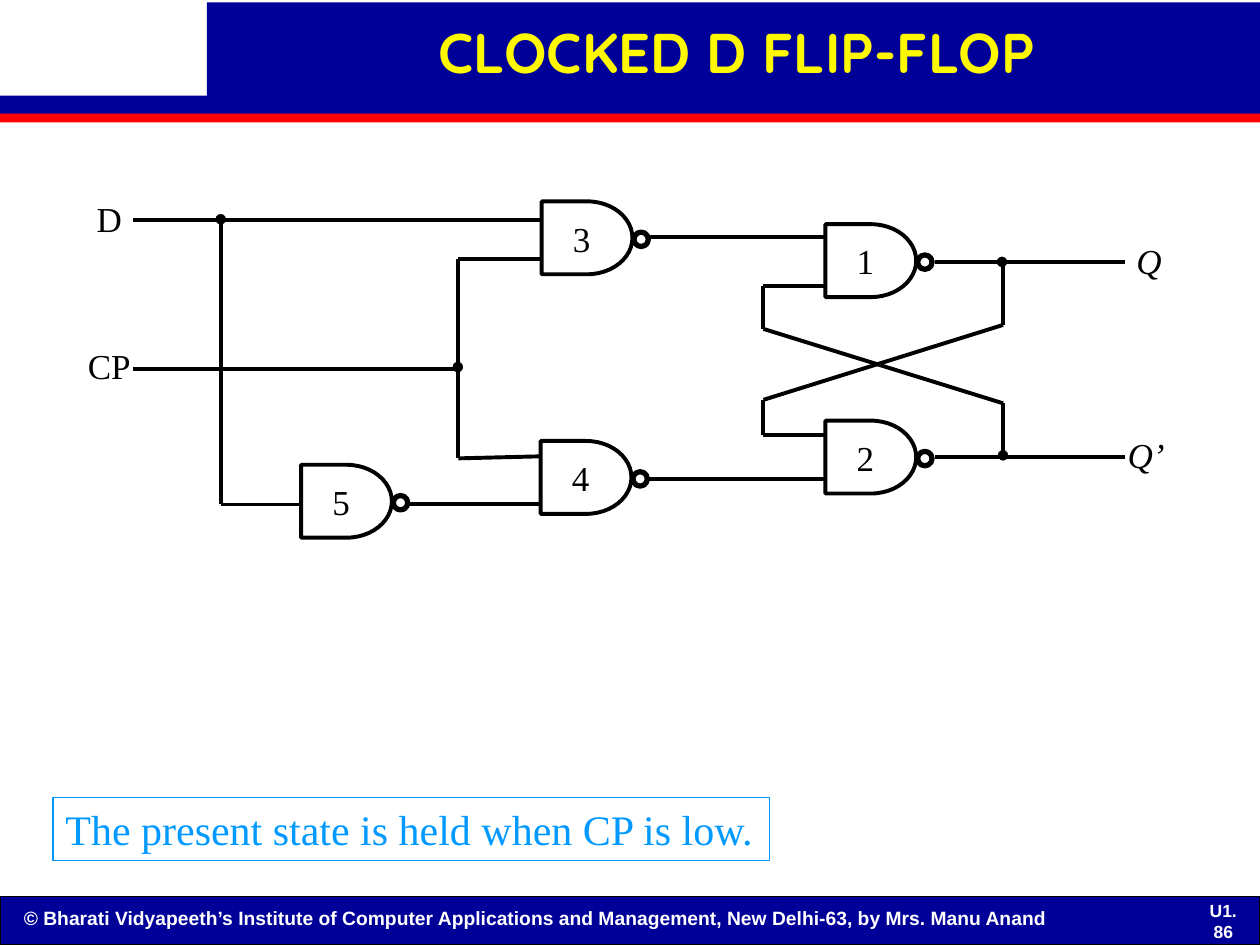
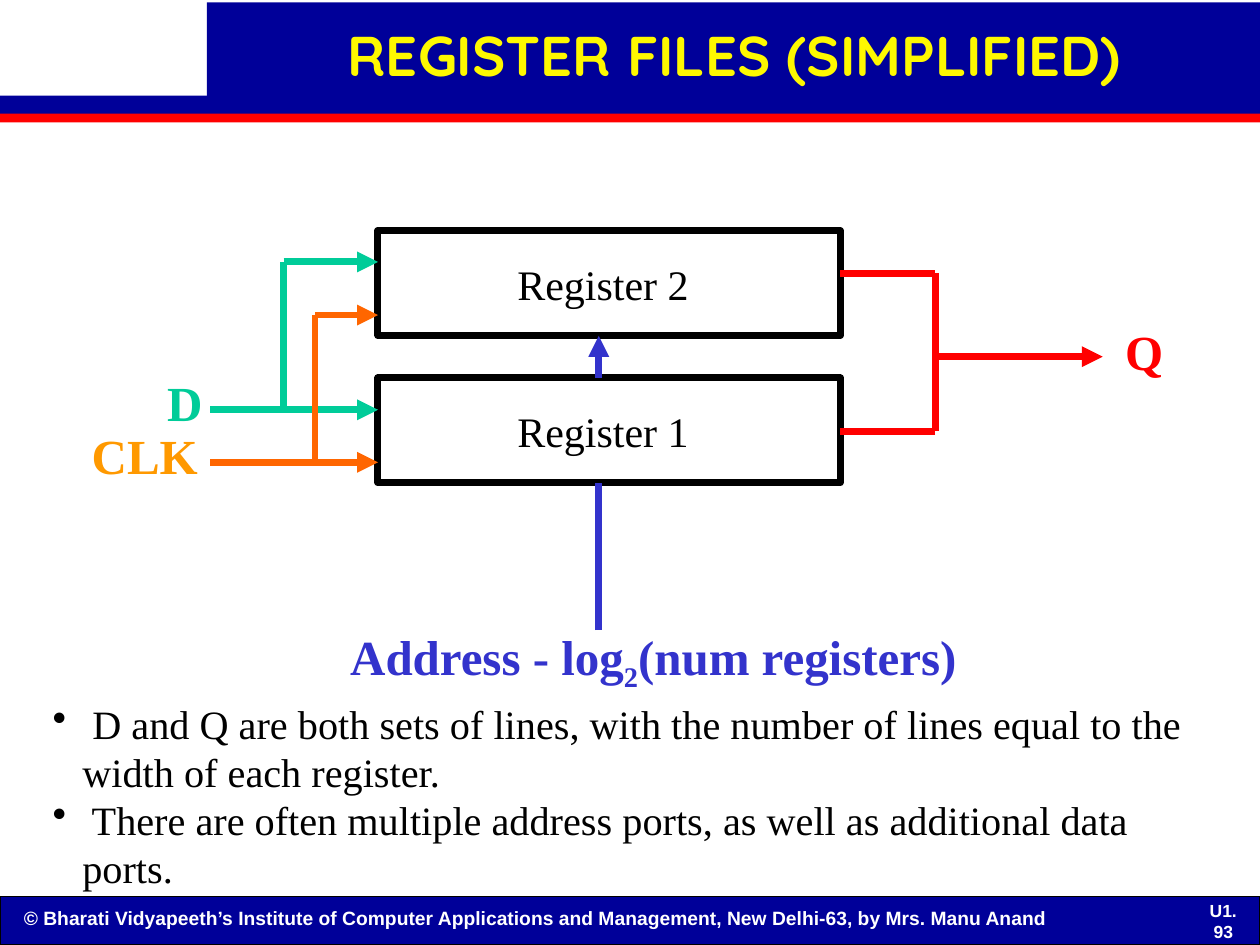
"""Build two digital-logic slides: a clocked D flip-flop and simplified register files."""
from itertools import pairwise

from lxml import etree
from pptx import Presentation
from pptx import util as u
from pptx.dml import color
from pptx.enum import shapes, text
from pptx.oxml import ns

BLUE, RED, BLACK, WHITE, YELLOW = "000099", "FF0000", "000000", "FFFFFF", "FEF800"
SKY, GREEN, ORANGE, AMBER, INDIGO = "0099FF", "00CC99", "FF6600", "FF9900", "3333CC"
SERIF = "Times New Roman"
PRESET = shapes.MSO_SHAPE
COPYRIGHT = ("© Bharati Vidyapeeth’s Institute of Computer Applications and Management, "
             "New Delhi-63, by Mrs. Manu Anand")
rgb = color.RGBColor.from_string


def add_text(slide, box, content, size, colour=BLACK, font=SERIF, bold=False, italic=False,
             centred=False, wrap=False):
    """Add a text box with one paragraph and return it."""
    shape = slide.shapes.add_textbox(*map(u.Cm, box))
    frame = shape.text_frame
    frame.word_wrap = wrap
    paragraph = frame.paragraphs[0]
    paragraph.add_run().text = content
    if centred:
        paragraph.alignment = text.PP_ALIGN.CENTER
        frame.vertical_anchor = text.MSO_ANCHOR.MIDDLE
    paragraph.font.name, paragraph.font.size = font, u.Pt(size)
    paragraph.font.bold, paragraph.font.italic = bold, italic
    paragraph.font.color.rgb = rgb(colour)
    return shape


def add_wire(slide, points, colour, weight, arrow=False):
    """Join the points with straight connectors, with an optional arrowhead at the last."""
    for start, end in pairwise(points):
        connector = slide.shapes.add_connector(
            shapes.MSO_CONNECTOR.STRAIGHT, *map(u.Cm, start + end))
        connector.line.color.rgb = rgb(colour)
        connector.line.width = u.Pt(weight)
        properties = connector._element.spPr
        if arrow and end == points[-1]:
            outline = properties.find(ns.qn("a:ln"))
            etree.SubElement(outline, ns.qn("a:tailEnd"), type="triangle")
        etree.SubElement(properties, ns.qn("a:effectLst"))


presentation = Presentation()
presentation.slide_width, presentation.slide_height = u.Cm(25.4), u.Cm(19.05)

bands = [
    (PRESET.RECTANGLE, (0, 18.08, 25.4, 0.97), BLUE, BLACK, 0.75),
    (PRESET.RECTANGLE, (0, 1.93, 25.4, 0.41), BLUE, None, 0),
    (PRESET.RECTANGLE, (4.17, 0.05, 21.23, 2.03), BLUE, None, 0),
    (PRESET.RECTANGLE, (0, 2.29, 25.4, 0.18), RED, None, 0),
]

gates = {"5": (6.07, 9.37), "4": (10.9, 8.89), "3": (10.92, 4.06),
         "2": (16.64, 8.48), "1": (16.64, 4.52)}
junctions = [(4.45, 4.42), (9.23, 7.4), (20.2, 5.28), (20.22, 9.18)]
circuit = []
for left, top in gates.values():
    circuit.append((PRESET.FLOWCHART_DELAY, (left, top, 1.83, 1.47), None, BLACK, 2.25))
    circuit.append((PRESET.FLOWCHART_CONNECTOR, (left + 1.86, top + 0.62, 0.29, 0.29),
                    None, BLACK, 3))
for x, y in junctions:
    circuit.append((PRESET.OVAL, (x - 0.1, y - 0.1, 0.2, 0.2), BLACK, BLACK, 0.25))

register_tops = {"Register 2": 4.65, "Register 1": 7.62}
registers = [(PRESET.RECTANGLE, (7.62, top, 9.32, 2.11), None, BLACK, 4)
             for top in register_tops.values()]

slides = []
for title, title_left, title_top, number, drawing in [
    ("CLOCKED D FLIP-FLOP", 4.19, 0.1, "U1. 86", circuit),
    ("REGISTER FILES (SIMPLIFIED)", 4.14, 0.18, "U1. 93", registers),
]:
    slide = presentation.slides.add_slide(presentation.slide_layouts[6])
    slides.append(slide)
    for preset, box, fill, line, weight in bands + drawing:
        shape = slide.shapes.add_shape(preset, *map(u.Cm, box))
        shape.shadow.inherit = False
        if fill:
            shape.fill.solid()
            shape.fill.fore_color.rgb = rgb(fill)
        else:
            shape.fill.background()
        if line:
            shape.line.color.rgb = rgb(line)
            shape.line.width = u.Pt(weight)
        else:
            shape.line.fill.background()
    add_text(slide, (0.23, 18.14, 23.32, 0.74), COPYRIGHT, 11, WHITE, "Arial", bold=True, wrap=True)
    add_text(slide, (24, 18.26, 1.32, 0.61), number, 10, WHITE, "Arial",
             bold=True, centred=True, wrap=True)
    heading = add_text(slide, (title_left, title_top, 21.34, 2.03), title, 32, YELLOW, "Quicksand",
                       bold=True, centred=True, wrap=True).text_frame
    heading.margin_left = heading.margin_right = u.Cm(0.18)
    heading.margin_top = heading.margin_bottom = u.Cm(0.08)
    heading.paragraphs[0].line_spacing = 0.88

flip_flop, register_files = slides

for wire in [
    [(2.69, 4.43), (10.9, 4.43)],
    [(2.69, 7.44), (9.24, 7.44)],
    [(4.45, 4.43), (4.45, 10.17), (6.07, 10.17)],
    [(8.18, 10.16), (10.92, 10.16)],
    [(10.9, 5.23), (9.24, 5.23), (9.24, 9.24), (10.9, 9.2)],
    [(13.08, 4.78), (16.61, 4.78)],
    [(13.08, 9.65), (16.61, 9.65)],
    [(18.85, 5.28), (22.68, 5.28)],
    [(18.85, 9.21), (22.68, 9.21)],
    [(16.64, 5.77), (15.39, 5.77), (15.39, 6.63), (20.22, 8.13), (20.22, 9.21)],
    [(16.64, 8.76), (15.39, 8.76), (15.39, 8.06), (20.22, 6.55), (20.22, 5.28)],
]:
    add_wire(flip_flop, wire, BLACK, 2.25)

for digit, (left, top) in gates.items():
    add_text(flip_flop, (left + 0.38, top + 0.19, 0.86, 1.12), digit, 20)
for signal, left, top, width, italic in [
    ("D", 1.7, 3.86, 1.02, False), ("CP", 1.52, 6.82, 1.37, False),
    ("Q", 22.66, 4.7, 1.02, True), ("Q’", 22.48, 8.61, 1.25, True),
]:
    add_text(flip_flop, (left, top, width, 1.12), signal, 20, italic=italic)

note = add_text(flip_flop, (1.07, 16.08, 14.45, 1.27),
                "The present state is held when CP is low.", 24, SKY)
note.line.color.rgb = rgb(SKY)
note.line.width = u.Pt(0.75)

for points, colour, arrow in [
    ([(5.72, 8.26), (5.72, 5.28), (7.62, 5.28)], GREEN, True),
    ([(4.24, 8.26), (7.62, 8.26)], GREEN, True),
    ([(6.35, 9.32), (6.35, 6.35), (7.62, 6.35)], ORANGE, True),
    ([(4.24, 9.32), (7.62, 9.32)], ORANGE, True),
    ([(16.94, 5.51), (18.85, 5.51), (18.85, 8.69), (16.94, 8.69)], RED, False),
    ([(18.85, 7.19), (22.23, 7.19)], RED, True),
    ([(12.07, 12.7), (12.07, 9.73)], INDIGO, False),
    ([(12.07, 7.62), (12.07, 6.77)], INDIGO, True),
]:
    add_wire(register_files, points, colour, 4, arrow)

for name, top in register_tops.items():
    add_text(register_files, (10.18, top + 0.43, 3.96, 1.27), name, 24)
for signal, box, colour in [
    ("D", (3.12, 7.39, 1.22, 1.45), GREEN),
    ("CLK", (1.6, 8.46, 2.64, 1.45), AMBER),
    ("Q", (22.43, 6.35, 1.27, 1.45), RED),
]:
    add_text(register_files, box, signal, 28, colour, bold=True)

address = add_text(register_files, (6.81, 12.5, 12.75, 1.6), "Address - log", 28, INDIGO, bold=True)
paragraph = address.text_frame.paragraphs[0]
subscript = paragraph.add_run()
subscript.text = "2"
subscript._r.get_or_add_rPr().set("baseline", "-25000")
paragraph.add_run().text = "(num registers)"

frame = register_files.shapes.add_textbox(*map(u.Cm, (0.81, 13.97, 23.83, 4.17))).text_frame
frame.word_wrap = True
for index, remark in enumerate([
    " D and Q are both sets of lines, with the number of lines equal to the width of each register.",
    " There are often multiple address ports, as well as additional data ports.",
]):
    paragraph = frame.add_paragraph() if index else frame.paragraphs[0]
    paragraph.add_run().text = remark
    paragraph.line_spacing = u.Pt(27.5)
    properties = paragraph._p.get_or_add_pPr()
    properties.set("marL", str(u.Cm(0.6)))
    properties.set("indent", str(u.Cm(-0.6)))
    etree.SubElement(properties, ns.qn("a:buChar"), char="•")
    paragraph.font.name, paragraph.font.size = SERIF, u.Pt(23)
    paragraph.font.color.rgb = rgb(BLACK)

presentation.save("out.pptx")
